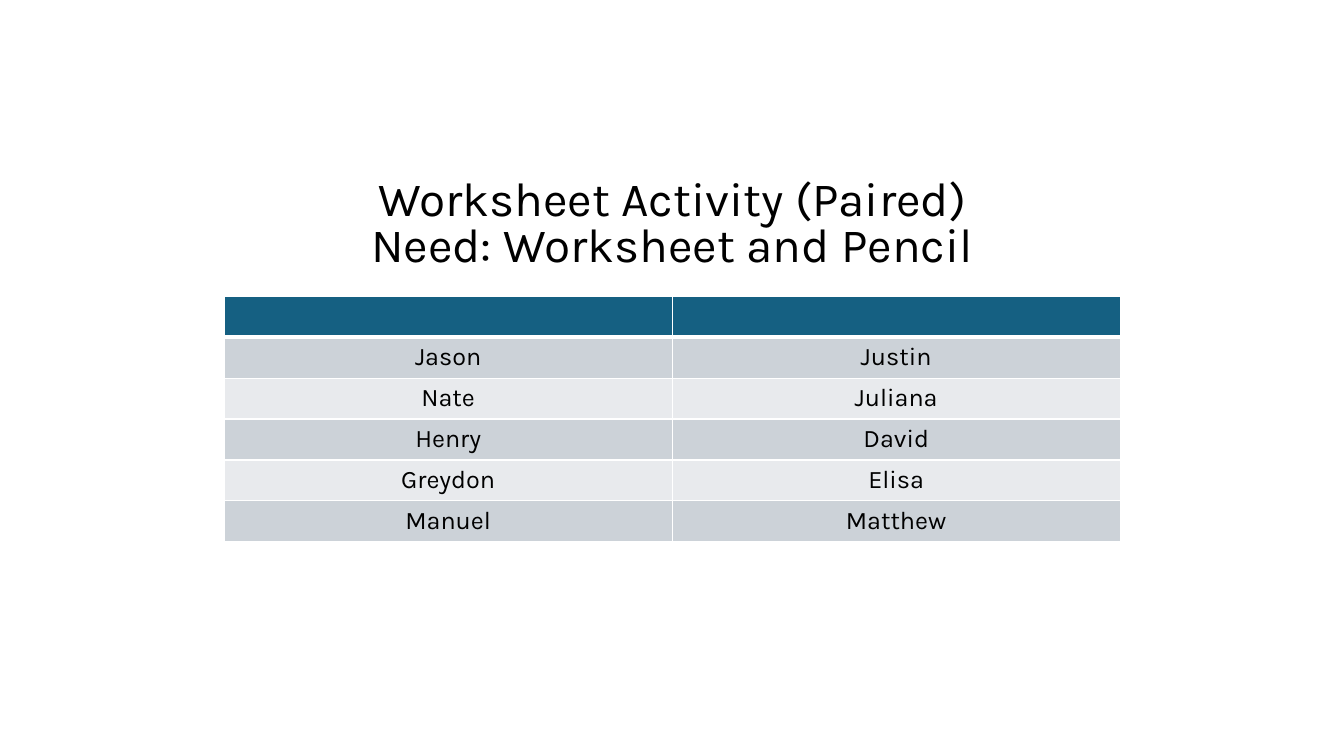
from lxml import etree
from pptx import Presentation
from pptx.dml.color import RGBColor
from pptx.enum.text import MSO_ANCHOR, PP_ALIGN
from pptx.oxml.ns import qn
from pptx.util import Cm, Pt

CENTER = PP_ALIGN.CENTER
MIDDLE = MSO_ANCHOR.MIDDLE
PAIRS = [
    ("", ""),
    ("Jason", "Justin"),
    ("Nate", "Juliana"),
    ("Henry", "David"),
    ("Greydon", "Elisa"),
    ("Manuel", "Matthew"),
]


def color(code):
    return RGBColor.from_string(code)


class Deck:
    font = "Karla"
    ink = "000000"
    line = "FFFFFF"
    head = "156082"
    bands = ("E8EAED", "CCD2D8")

    def __init__(self, show):
        self.slide = show.slides.add_slide(show.slide_layouts[5])

    def style(self, frame, size, space=None):
        for para in frame.paragraphs:
            para.alignment = CENTER
            para.line_spacing = space
            for run in para.runs:
                run.font.name = self.font
                run.font.size = Pt(size)
                run.font.color.rgb = color(self.ink)

    def title(self, text, left, top, width, height):
        shape = self.slide.shapes.title
        shape.left, shape.top = Cm(left), Cm(top)
        shape.width, shape.height = Cm(width), Cm(height)
        frame = shape.text_frame
        frame.text = text
        frame.word_wrap = True
        frame.vertical_anchor = MIDDLE
        self.style(frame, 34.1, 0.8)

    def border(self, cell, side, width):
        props = cell._tc.get_or_add_tcPr()
        edge = etree.SubElement(props, qn(f"a:ln{side}"), w=str(Pt(width)))
        fill = etree.SubElement(edge, qn("a:solidFill"))
        etree.SubElement(fill, qn("a:srgbClr"), val=self.line)

    def table(self, rows, left, top, width, height):
        count = len(rows)
        frame = self.slide.shapes.add_table(
            count, len(rows[0]), Cm(left), Cm(top), Cm(width), Cm(height))
        for i, names in enumerate(rows):
            for j, name in enumerate(names):
                cell = frame.table.cell(i, j)
                cell.text = name
                self.style(cell.text_frame, 18)
                for side in "LRTB":
                    thick = (i, side) in ((0, "B"), (1, "T"))
                    self.border(cell, side, 3 if thick else 1)
                cell.fill.solid()
                shade = self.bands[i % 2] if i else self.head
                cell.fill.fore_color.rgb = color(shade)


def main():
    show = Presentation()
    show.slide_width, show.slide_height = Cm(33.87), Cm(19.05)
    deck = Deck(show)
    deck.title("Worksheet Activity (Paired)\nNeed: Worksheet and Pencil",
               2.54, 4.27, 28.8, 2.82)
    deck.table(PAIRS, 5.65, 7.47, 22.58, 6.18)
    show.save("out.pptx")


if __name__ == "__main__":
    main()
